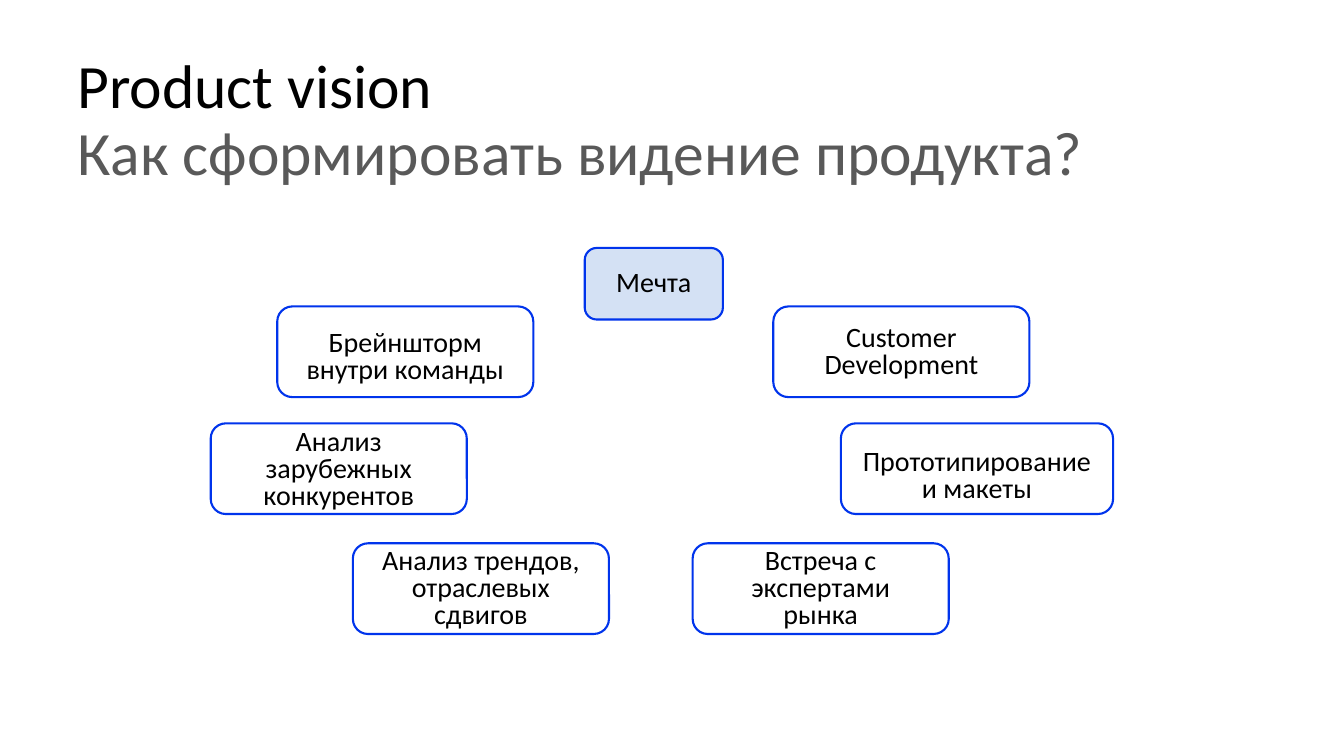
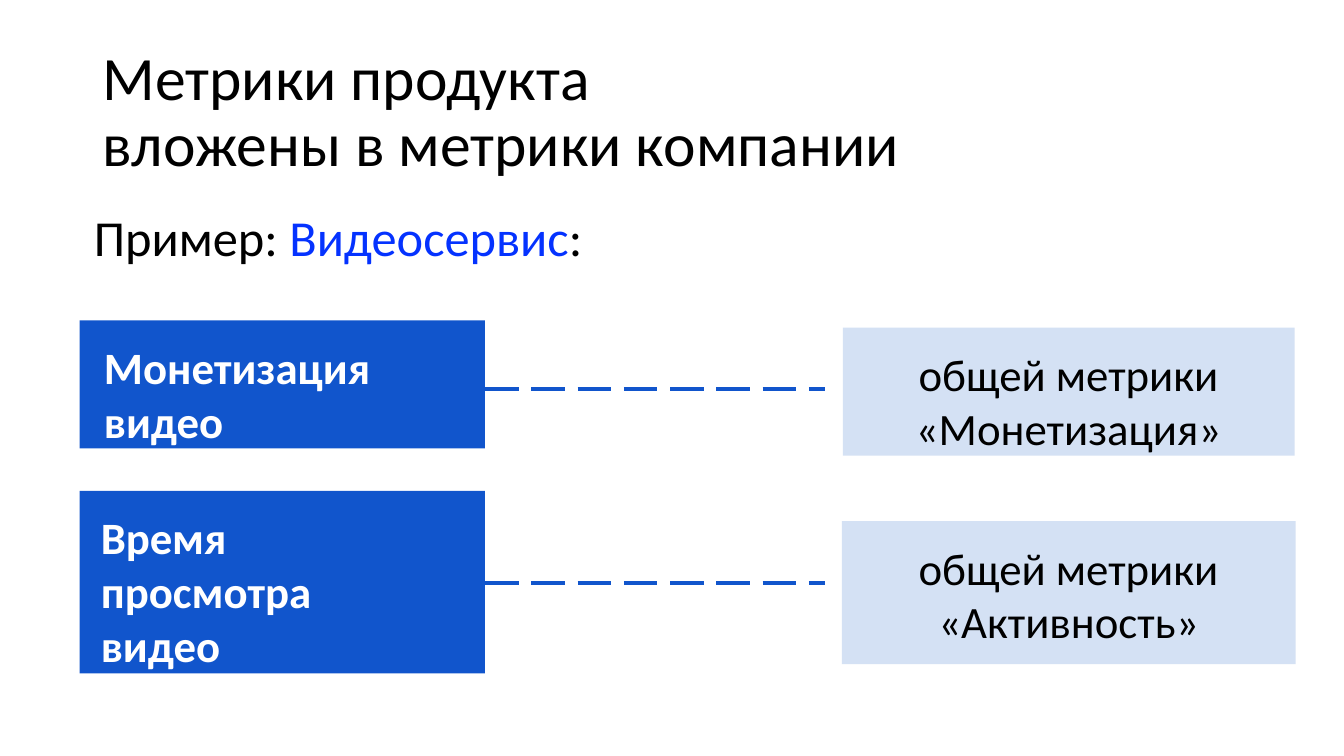
from pptx import Presentation
from pptx.dml.color import RGBColor
from pptx.enum.dml import MSO_LINE
from pptx.enum.shapes import MSO_CONNECTOR, MSO_SHAPE
from pptx.enum.text import MSO_ANCHOR, PP_ALIGN
from pptx.oxml.ns import qn
from pptx.util import Inches, Pt
from lxml.etree import SubElement

FONT = "Calibri"
INK = {
    "black": "000000",
    "gray": "595959",
    "white": "FFFFFF",
    "edge": "0034EC",
    "deep": "1155CC",
    "pale": "D4E1F4",
    "link": "0432FF",
}
HUES = {name: RGBColor.from_string(code) for name, code in INK.items()}


def write(shape, parts, size, pad, align=PP_ALIGN.LEFT, ink="black",
          bold=False, space=1.0, anchor=MSO_ANCHOR.TOP):
    frame = shape.text_frame
    frame.word_wrap = True
    frame.vertical_anchor = anchor
    left, top, right, bottom = [Inches(v) for v in pad]
    frame.margin_left, frame.margin_top = left, top
    frame.margin_right, frame.margin_bottom = right, bottom
    para = frame.paragraphs[0]
    para.text = parts[0][0]
    para.alignment = align
    para.line_spacing = space
    para.font.name = FONT
    para.font.size = Pt(size)
    para.font.bold = bold
    para.font.color.rgb = HUES[ink]
    for text, hue in parts[1:]:
        run = para.add_run()
        run.text = text
        run.font.color.rgb = HUES[hue]


def block(slide, kind, spot, fill=None, edge=None):
    shape = slide.shapes.add_shape(kind, *[Inches(v) for v in spot])
    shape.shadow.inherit = False
    if fill:
        shape.fill.solid()
        shape.fill.fore_color.rgb = HUES[fill]
    else:
        shape.fill.background()
    if edge:
        shape.line.color.rgb = HUES[edge]
        shape.line.width = Pt(1.5)
    else:
        shape.line.fill.background()
    return shape


deck = Presentation()
deck.slide_width = Inches(13.33)
deck.slide_height = Inches(7.5)

heads = [
    ((0.67, 0.46, 11.5, 1.5),
     [("Product vision\n", "black"),
      ("Как сформировать видение продукта?", "gray")]),
    ((0.92, 0.4, 11.5, 1.45),
     [("Метрики продукта\nвложены в метрики компании", "black")]),
]
for spot, parts in heads:
    slide = deck.slides.add_slide(deck.slide_layouts[6])
    title = slide.shapes.add_textbox(*[Inches(v) for v in spot])
    write(title, parts, 44, (0.1, 0.05, 0.1, 0.05), space=0.9,
          anchor=MSO_ANCHOR.MIDDLE)
vision, metrics = deck.slides

ideas = [
    ((5.8, 2.46, 1.37, 0.71), "Мечта", 0.15, 0.13, "pale", 1.0),
    ((2.75, 3.04, 2.54, 0.9), "Брейншторм внутри команды", 0.14, 0.2, None, 0.8),
    ((7.67, 3.04, 2.54, 0.9), "Customer Development", 0.21, 0.15, None, 0.8),
    ((2.09, 4.2, 2.54, 0.9), "Анализ зарубежных конкурентов", 0.16, 0.02, None, 0.8),
    ((8.34, 4.2, 2.7, 0.9), "Прототипирование\nи макеты", 0.05, 0.22, None, 0.8),
    ((3.5, 5.39, 2.54, 0.9), "Анализ трендов, отраслевых сдвигов", 0.1, 0.01, None, 0.8),
    ((6.87, 5.39, 2.54, 0.9), "Встреча с экспертами рынка", 0.18, 0.01, None, 0.8),
]
for spot, text, side, top, fill, space in ideas:
    card = block(vision, MSO_SHAPE.ROUNDED_RECTANGLE, spot, fill, "edge")
    write(card, [(text, "black")], 20, (side, top, side, 0),
          PP_ALIGN.CENTER, space=space)

lead = metrics.shapes.add_textbox(
    Inches(0.92), Inches(2.03), Inches(7.62), Inches(0.62))
write(lead, [("Пример: ", "black"), ("Видеосервис", "link"), (":", "black")],
      36, (0.01, 0.01, 0, 0))

rows = [
    ((0.79, 3.18, 4.02, 1.27), "Монетизация видео", 0.24, 3.86,
     (8.36, 3.25, 4.48, 1.27), "общей метрики\n«Монетизация»"),
    ((0.79, 4.87, 4.02, 1.81), "Время просмотра видео", 0.21, 5.78,
     (8.35, 5.17, 4.5, 1.42), "общей метрики\n«Активность»"),
]
for spot, text, inset, level, goal, label in rows:
    part = block(metrics, MSO_SHAPE.RECTANGLE, spot, "deep")
    write(part, [(text, "white")], 32, (inset, 0.19, 0.7, 0),
          ink="white", bold=True)
    link = metrics.shapes.add_connector(
        MSO_CONNECTOR.STRAIGHT,
        Inches(4.81), Inches(level), Inches(8.18), Inches(level))
    link.line.color.rgb = HUES["deep"]
    link.line.width = Pt(3)
    link.line.dash_style = MSO_LINE.LONG_DASH
    SubElement(link.element.spPr, qn("a:effectLst"))
    whole = block(metrics, MSO_SHAPE.RECTANGLE, goal, "pale")
    write(whole, [(label, "black")], 32, (0, 0.19, 0, 0), PP_ALIGN.CENTER)

deck.save("out.pptx")
